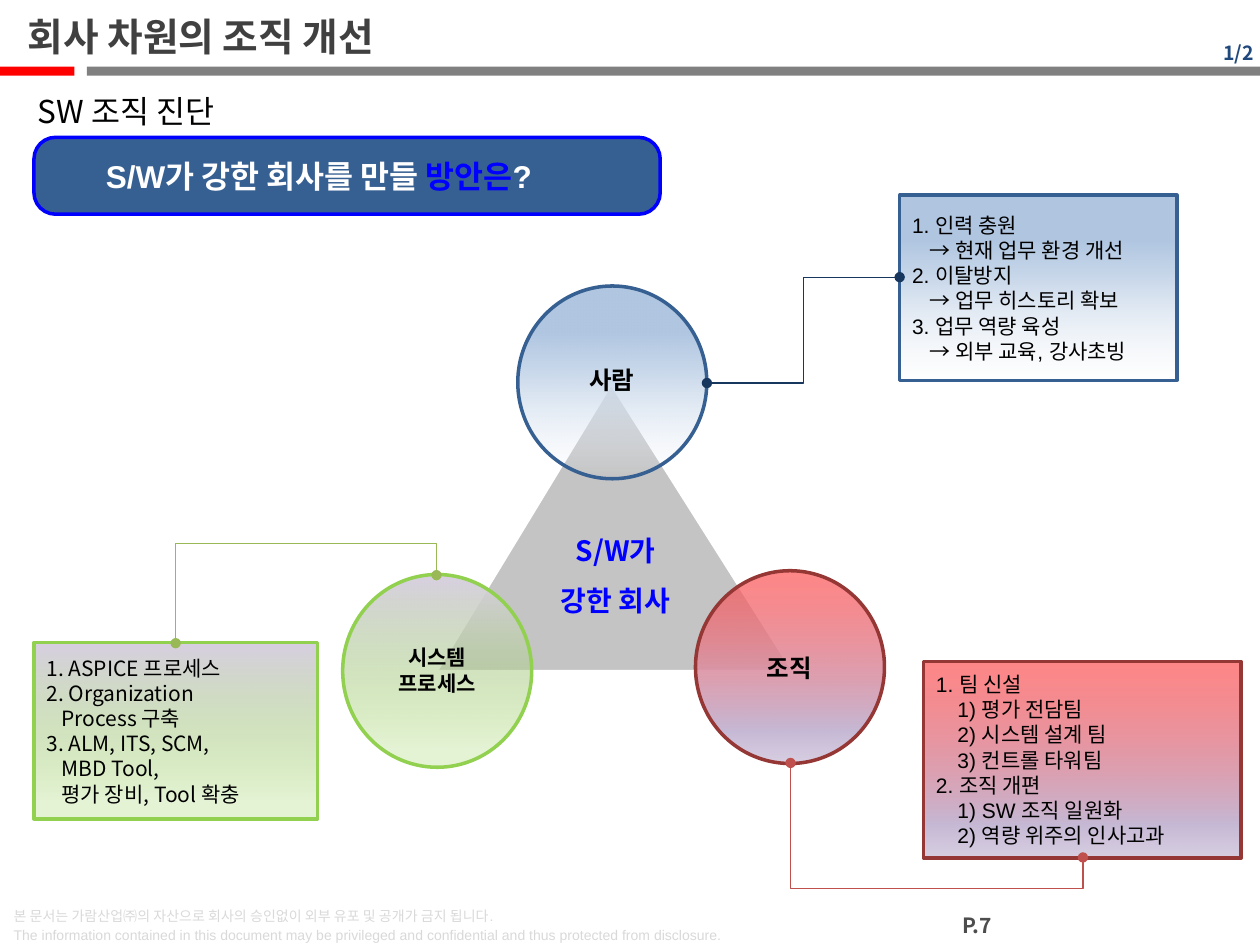
from lxml import etree
from pptx import Presentation
from pptx.dml.color import RGBColor
from pptx.enum.shapes import MSO_CONNECTOR, MSO_SHAPE as Shape
from pptx.enum.text import MSO_ANCHOR as Anchor, PP_ALIGN as Align
from pptx.oxml.ns import qn
from pptx.util import Inches, Pt

SANS, KOREAN = "Arial", "Noto Sans CJK KR"
BLACK, WHITE = RGBColor(0, 0, 0), RGBColor(255, 255, 255)
RED, GRAY = RGBColor(255, 0, 0), RGBColor(0x80, 0x80, 0x80)
BLUE, NAVY = RGBColor(0, 0, 255), RGBColor(0x37, 0x60, 0x92)
TITLE_GRAY, PAGE_GRAY = RGBColor(0x40, 0x40, 0x40), RGBColor(0x4D, 0x4D, 0x4D)
NOTICE_GRAY, COUNT_BLUE = RGBColor(0xD9, 0xD9, 0xD9), RGBColor(0x1F, 0x49, 0x7D)
TRIANGLE_GRAY = RGBColor(0xA6, 0xA6, 0xA6)
MAROON, GREEN = RGBColor(0x95, 0x37, 0x35), RGBColor(0x92, 0xD0, 0x50)
LINK_NAVY, LINK_RED = RGBColor(0x17, 0x37, 0x5E), RGBColor(0xC0, 0x50, 0x4D)
LINK_GREEN = RGBColor(0x98, 0xB9, 0x55)

# Gradient stops from top to bottom: position %, colour, opacity %
PEOPLE_FADE = [(0, "B0C6E1", 100), (24, "B0C6E1", 100), (45, "CAD9EB", 100), (100, "EDF2F8", 0)]
TEAM_FADE = [(0, "FF4D4D", 67), (83, "C6B9D5", 100), (100, "D9D0E3", 100)]
PROCESS_FADE = [(0, "D9D0E3", 100), (91, "92D050", 23)]

CIRCLE = (1.5, 1.53)
TOPICS = [
    dict(circle=(4.11, 2.27), fade=PEOPLE_FADE, edge=NAVY,
         label=["사람"], label_at=(4.42, 2.85, 0.87, 0.34), label_size=14,
         box=(7.14, 1.55, 2.2, 1.47), font=SANS, indent=0.14,
         items=["1. 인력 충원\n→ 현재 업무 환경 개선",
                "2. 이탈방지\n→ 업무 히스토리 확보",
                "3. 업무 역량 육성\n→ 외부 교육, 강사초빙"]),
    dict(circle=(5.52, 4.53), fade=TEAM_FADE, edge=MAROON,
         label=["조직"], label_at=(5.83, 5.13, 0.87, 0.34), label_size=14,
         box=(7.33, 5.25, 2.52, 1.56), font=SANS, indent=0.17,
         items=["1. 팀 신설\n1) 평가 전담팀\n2) 시스템 설계 팀\n3) 컨트롤 타워팀",
                "2. 조직 개편\n1) SW 조직 일원화\n2) 역량 위주의 인사고과"]),
    dict(circle=(2.72, 4.56), fade=PROCESS_FADE, edge=GREEN,
         label=["시스템", "프로세스"], label_at=(2.93, 5.07, 1.08, 0.5), label_size=12,
         box=(0.27, 5.1, 2.25, 1.4), font=KOREAN, indent=0.12,
         items=["1. ASPICE 프로세스",
                "2. Organization\nProcess 구축",
                "3. ALM, ITS, SCM,\nMBD Tool,\n평가 장비, Tool 확충"]),
]

# Frame before turning, turn in degrees, flips, place of the bend, colour
LINKS = [
    ((2.16, 3.8, 0.54, 2.07), 270, ("flipH", "flipV"), -0.46, LINK_GREEN),
    ((5.61, 2.2, 1.53, 0.84), 180, ("flipV",), 0.5, LINK_NAVY),
    ((7.06, 5.27, 0.75, 2.32), 90, ("flipH",), -0.33, LINK_RED),
]

NOTICE = ["본 문서는 가람산업㈜의 자산으로 회사의 승인없이 외부 유포 및 공개가 금지 됩니다.",
          "The information contained in this document may be privileged and "
          "confidential and thus protected from disclosure."]


def add_node(parent, tag, **attributes):
    return etree.SubElement(parent, qn(tag), {k: str(v) for k, v in attributes.items()})


def set_opacity(color_node, percent):
    if percent < 100:
        add_node(color_node, "a:alpha", val=percent * 1000)


def fill_gradient(shape, stops):
    """Fill from top to bottom, with an opacity for each stop."""
    shape.fill.gradient()
    gradient = shape.fill._fill._gradFill
    for child in list(gradient):
        gradient.remove(child)
    stop_list = add_node(gradient, "a:gsLst")
    for position, color, opacity in stops:
        stop = add_node(stop_list, "a:gs", pos=position * 1000)
        set_opacity(add_node(stop, "a:srgbClr", val=color), opacity)
    add_node(gradient, "a:lin", ang=90 * 60000, scaled=0)


def add_shape(page, kind, at, fill=None, line=None):
    """A list as fill gives a gradient."""
    shape = page.shapes.add_shape(kind, *map(Inches, at))
    shape.shadow.inherit = False
    if isinstance(fill, list):
        fill_gradient(shape, fill)
    else:
        shape.fill.solid()
        shape.fill.fore_color.rgb = fill
    if line is None:
        shape.line.fill.background()
    else:
        shape.line.color.rgb = line
        shape.line.width = Pt(2)
    return shape


def write(box, paragraphs, size=12, font=KOREAN, color=BLACK, bold=False, align=Align.LEFT,
          anchor=Anchor.TOP, wrap=True, spacing=None, indent=0, left=0.1):
    """Each paragraph is a string or a list of (text, colour) spans."""
    frame = box.text_frame
    frame.word_wrap, frame.vertical_anchor = wrap, anchor
    frame.margin_left = Inches(left)
    for number, content in enumerate(paragraphs):
        para = frame.add_paragraph() if number else frame.paragraphs[0]
        para.alignment = align
        if spacing:
            para.line_spacing = spacing
        if indent:
            properties = para._p.get_or_add_pPr()
            properties.set("marL", str(Inches(indent)))
            properties.set("indent", str(-Inches(indent)))
        spans = [(content, color)] if isinstance(content, str) else content
        for text, span_color in spans:
            for row, line in enumerate(text.split("\n")):
                if row:
                    para.add_line_break()
                span = para.add_run()
                span.text = line
                span.font.size, span.font.bold = Pt(size), bold
                span.font.color.rgb = span_color
                span.font.name = font
                add_node(span.font._element, "a:ea", typeface=KOREAN)


def add_text(page, at, paragraphs, **form):
    box = page.shapes.add_textbox(*map(Inches, at))
    write(box, paragraphs, **form)
    return box


def add_link(page, frame, turn, flips, bend, color):
    left, top, width, height = frame
    link = page.shapes.add_connector(
        MSO_CONNECTOR.ELBOW, *map(Inches, (left, top, left + width, top + height)))
    link.line.color.rgb = color
    link.line.width = Pt(0.75)
    properties = link._element.spPr
    transform = properties.find(qn("a:xfrm"))
    transform.set("rot", str(turn * 60000))
    for flip in flips:
        transform.set(flip, "1")
    guides = properties.find(qn("a:prstGeom")).find(qn("a:avLst"))
    add_node(guides, "a:gd", name="adj1", fmla=f"val {round(bend * 100000)}")
    outline = properties.find(qn("a:ln"))
    for end in ("a:headEnd", "a:tailEnd"):
        add_node(outline, end, type="oval")
    add_node(properties, "a:effectLst")


def main():
    deck = Presentation()
    deck.slide_width, deck.slide_height = Inches(10), Inches(7.5)
    page = deck.slides.add_slide(deck.slide_layouts[6])

    add_shape(page, Shape.RECTANGLE, (0, 0.53, 0.59, 0.07), RED)
    add_shape(page, Shape.RECTANGLE, (0.69, 0.53, 9.31, 0.07), GRAY)
    add_text(page, (0.01, 7.13, 7.4, 0.41), NOTICE, size=8, font=SANS,
             color=NOTICE_GRAY, spacing=Pt(11))
    add_text(page, (7.36, 7.19, 0.79, 0.31), ["P.7"], color=PAGE_GRAY, bold=True,
             align=Align.CENTER)
    count = add_text(page, (9.35, 0.29, 0.67, 0.26), ["1/2"], size=11.1, color=COUNT_BLUE,
                     bold=True, align=Align.RIGHT, anchor=Anchor.MIDDLE, left=0.07)
    count.text_frame.margin_right = Inches(0.07)
    count.text_frame.margin_top = count.text_frame.margin_bottom = Inches(0.04)
    add_text(page, (0.2, 0.68, 5.03, 0.39), ["SW 조직 진단"], size=18, wrap=False)
    add_text(page, (0.2, 0.05, 6.06, 0.47), ["회사 차원의 조직 개선"], size=22.1,
             color=TITLE_GRAY, bold=True, anchor=Anchor.MIDDLE, left=0.02)

    triangle = add_shape(page, Shape.ISOSCELES_TRIANGLE, (3.46, 3.04, 2.84, 2.29),
                         TRIANGLE_GRAY, WHITE)
    triangle.adjustments[0] = 0.49
    set_opacity(triangle.fill._fill._solidFill[0], 66)
    for topic in TOPICS:
        add_shape(page, Shape.FLOWCHART_CONNECTOR, topic["circle"] + CIRCLE,
                  topic["fade"], topic["edge"])
    for topic in TOPICS:
        add_text(page, topic["label_at"], topic["label"], size=topic["label_size"],
                 bold=True, align=Align.CENTER)
    add_text(page, (4.04, 4.05, 1.69, 0.86), ["S/W가", "강한 회사"], size=16,
             color=BLUE, bold=True, align=Align.CENTER, spacing=1.5)
    for topic in TOPICS:
        box = add_shape(page, Shape.RECTANGLE, topic["box"], topic["fade"], topic["edge"])
        write(box, topic["items"], font=topic["font"], indent=topic["indent"],
              anchor=Anchor.MIDDLE)

    banner = add_shape(page, Shape.ROUNDED_RECTANGLE, (0.27, 1.09, 4.97, 0.61), NAVY, BLUE)
    banner.adjustments[0] = 0.28
    write(banner, [[("S/W가 강한 회사를 만들 ", WHITE), ("방안은", BLUE), ("?", WHITE)]],
          size=18, font=SANS, bold=True, anchor=Anchor.MIDDLE, left=0.52)
    for link in LINKS:
        add_link(page, *link)

    deck.save("out.pptx")


if __name__ == "__main__":
    main()
